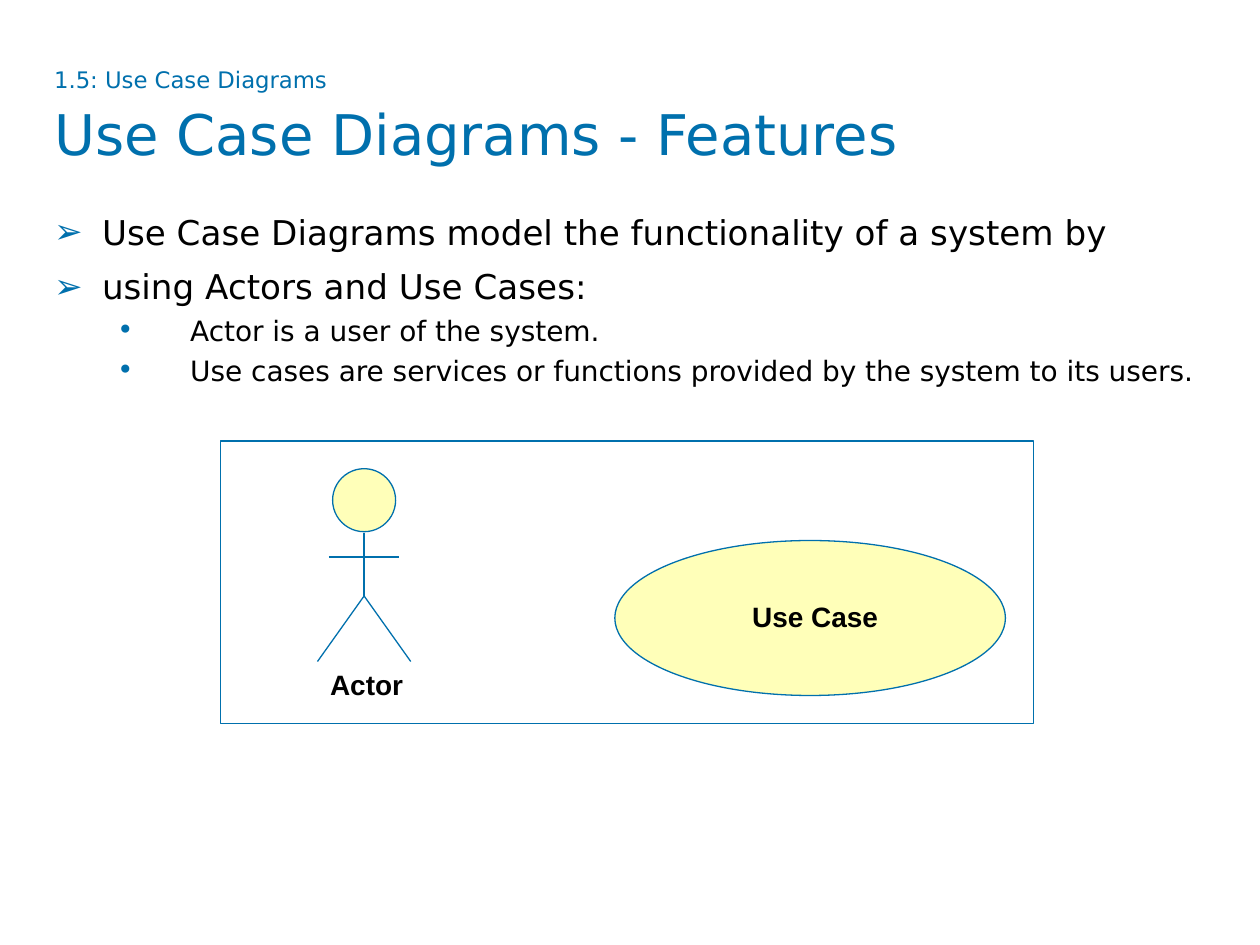
from pptx import Presentation
from pptx.dml.color import RGBColor
from pptx.enum.shapes import MSO_CONNECTOR, MSO_SHAPE
from pptx.enum.text import MSO_ANCHOR, MSO_AUTO_SIZE, PP_ALIGN
from pptx.oxml.ns import qn
from pptx.util import Inches, Pt
from lxml.etree import SubElement

BLUE = RGBColor(0x00, 0x70, 0xAD)
YELLOW = RGBColor(0xFF, 0xFF, 0xB9)
BLACK = RGBColor(0x00, 0x00, 0x00)
TEXT_FONT = "DejaVu Sans"
LABEL_FONT = "Arial"

# bullet, size, space before, left margin, first-line indent for each level
LEVELS = [("➢", 19.5, 7.5, 0.38, -0.38), ("•", 16, 3.8, 1.08, -0.58)]
BODY = [
    (0, "Use Case Diagrams model the functionality of a system by"),
    (0, "using Actors and Use Cases:"),
    (1, "Actor is a user of the system."),
    (1, "Use cases are services or functions provided by the system to its users."),
]


def place(shape, left, top, width, height):
    shape.left, shape.top = Inches(left), Inches(top)
    shape.width, shape.height = Inches(width), Inches(height)


def add_run(paragraph, text, size, color, font=TEXT_FONT, bold=False):
    run = paragraph.add_run()
    run.text = text
    run.font.size, run.font.name, run.font.bold = Pt(size), font, bold
    run.font.color.rgb = color


def fill_title(title, left, top, width, height):
    place(title, left, top, width, height)
    frame = title.text_frame
    frame.auto_size = MSO_AUTO_SIZE.NONE
    frame.vertical_anchor = MSO_ANCHOR.TOP
    paragraph = frame.paragraphs[0]
    paragraph.alignment = PP_ALIGN.LEFT
    paragraph.line_spacing = 1.1
    add_run(paragraph, "1.5: Use Case Diagrams", 13, BLUE)
    paragraph.add_line_break()
    add_run(paragraph, "Use Case Diagrams - Features", 32, BLUE)


def set_bullet(paragraph, bullet, margin, indent):
    properties = paragraph._p.get_or_add_pPr()
    properties.set("marL", str(Inches(margin)))
    properties.set("indent", str(Inches(indent)))
    color = SubElement(properties, qn("a:buClr"))
    SubElement(color, qn("a:srgbClr"), val=str(BLUE))
    SubElement(properties, qn("a:buFont"), typeface=TEXT_FONT)
    SubElement(properties, qn("a:buChar"), char=bullet)


def fill_body(body, left, top, width, height):
    place(body, left, top, width, height)
    frame = body.text_frame
    frame.auto_size = MSO_AUTO_SIZE.NONE
    for index, (level, text) in enumerate(BODY):
        bullet, size, space, margin, indent = LEVELS[level]
        paragraph = frame.add_paragraph() if index else frame.paragraphs[0]
        paragraph.level = level
        paragraph.alignment = PP_ALIGN.JUSTIFY
        paragraph.space_before = Pt(space)
        set_bullet(paragraph, bullet, margin, indent)
        add_run(paragraph, text, size, BLACK)


def add_outline(shapes, kind, left, top, width, height, fill=None):
    shape = shapes.add_shape(kind, Inches(left), Inches(top), Inches(width), Inches(height))
    shape.shadow.inherit = False
    if fill is None:
        shape.fill.background()
    else:
        shape.fill.solid()
        shape.fill.fore_color.rgb = fill
    shape.line.color.rgb = BLUE
    shape.line.width = Pt(0.75)


def add_line(shapes, x1, y1, x2, y2):
    line = shapes.add_connector(
        MSO_CONNECTOR.STRAIGHT, Inches(x1), Inches(y1), Inches(x2), Inches(y2))
    line.line.color.rgb = BLUE
    line.line.width = Pt(0.75)
    SubElement(line._element.spPr, qn("a:effectLst"))


def add_label(shapes, text, left, top, width, height):
    box = shapes.add_textbox(Inches(left), Inches(top), Inches(width), Inches(height))
    frame = box.text_frame
    frame.margin_left = frame.margin_right = frame.margin_top = frame.margin_bottom = 0
    frame.word_wrap = False
    frame.auto_size = MSO_AUTO_SIZE.SHAPE_TO_FIT_TEXT
    add_run(frame.paragraphs[0], text, 16, BLACK, LABEL_FONT, bold=True)


def add_actor(shapes, left, top, width):
    """Draw a stick figure with its label below."""
    center, neck, hip, foot = left + width / 2, top + 0.51, top + 1.01, top + 1.53
    add_outline(shapes, MSO_SHAPE.OVAL, center - 0.25, top, 0.5, 0.5, YELLOW)
    add_line(shapes, center, neck, center, hip)
    add_line(shapes, center - 0.28, top + 0.7, center + 0.28, top + 0.7)
    for foot_x in (left, left + width):
        add_line(shapes, center, hip, foot_x, foot)
    add_label(shapes, "Actor", center - 0.27, top + 1.58, 0.59, 0.27)


def add_use_case(shapes, left, top, width, height):
    add_outline(shapes, MSO_SHAPE.OVAL, left, top, width, height, YELLOW)
    add_label(shapes, "Use Case", left + 1.09, top + 0.47, 1.01, 0.27)


def add_diagram(slide, left, top, width, height):
    shapes = slide.shapes.add_group_shape().shapes
    add_outline(shapes, MSO_SHAPE.RECTANGLE, left, top, width, height)
    add_actor(shapes, left + 0.77, top + 0.22, 0.74)
    add_use_case(shapes, left + 3.13, top + 0.79, 3.1, 1.23)


def main():
    presentation = Presentation()
    presentation.slide_width, presentation.slide_height = Inches(10), Inches(7.5)
    slide = presentation.slides.add_slide(presentation.slide_layouts[1])
    fill_title(slide.shapes.title, 0.33, 0.45, 9.33, 0.94)
    fill_body(slide.placeholders[1], 0.33, 1.63, 9.33, 5.08)
    add_diagram(slide, 1.75, 3.5, 6.45, 2.24)
    presentation.save("out.pptx")


if __name__ == "__main__":
    main()
